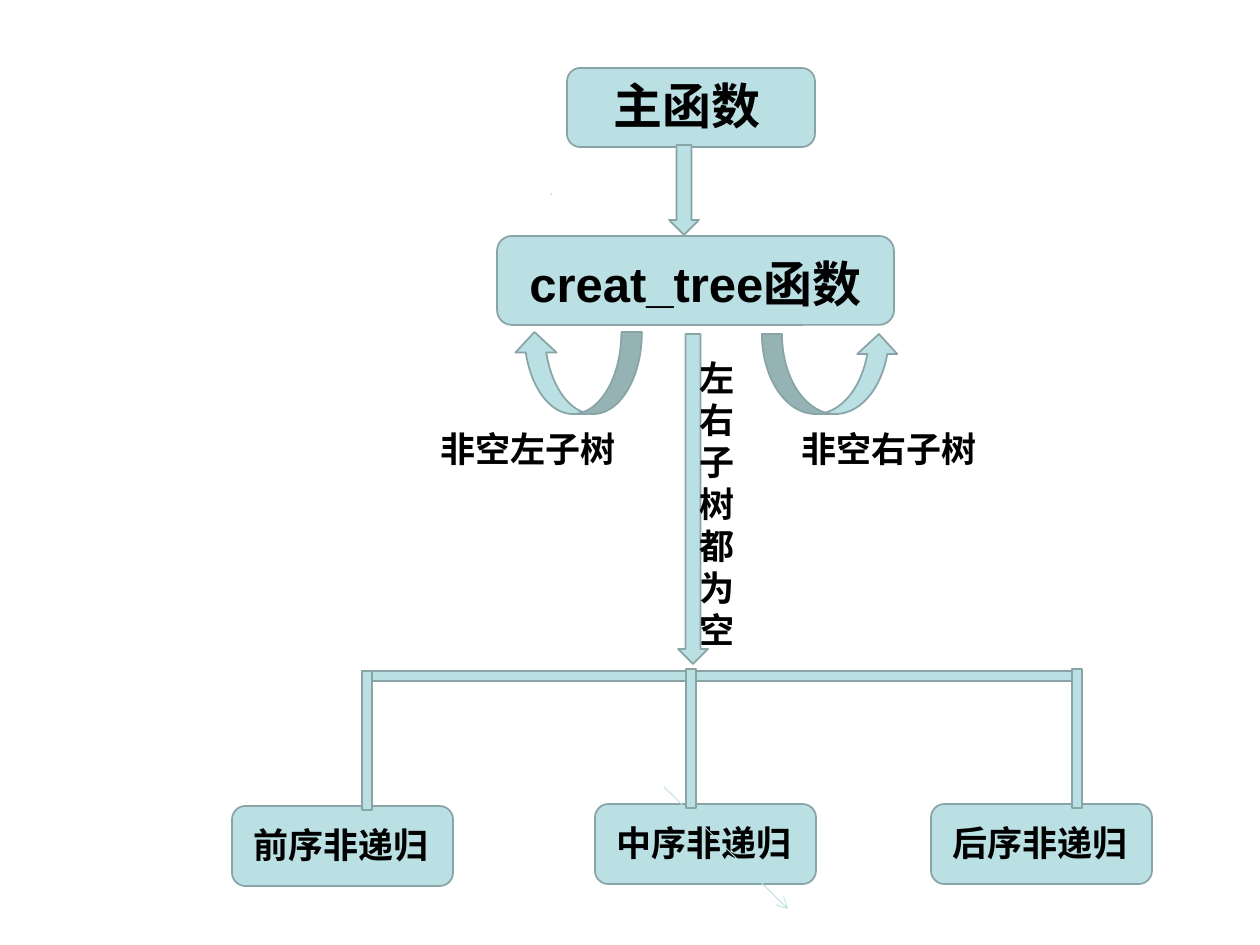
from dataclasses import dataclass

from lxml import etree
from pptx import Presentation
from pptx.dml.color import RGBColor
from pptx.enum.shapes import MSO_CONNECTOR, MSO_SHAPE
from pptx.oxml.ns import qn
from pptx.util import Emu, Pt

ROUND = MSO_SHAPE.ROUNDED_RECTANGLE
RECT = MSO_SHAPE.RECTANGLE
DOWN = MSO_SHAPE.DOWN_ARROW
CURVED = MSO_SHAPE.CURVED_UP_ARROW
STRAIGHT = MSO_CONNECTOR.STRAIGHT
PX = 914400 / 126


@dataclass(frozen=True)
class Theme:
    font: str = "Arial"
    fill: RGBColor = RGBColor(0xBB, 0xE0, 0xE3)
    outline: RGBColor = RGBColor(0x89, 0xA4, 0xA7)
    ink: RGBColor = RGBColor(0, 0, 0)
    title: int = 28
    label: int = 20
    border: float = 1
    hairline: float = 0.5


def px(*values):
    return [Emu(round(v * PX)) for v in values]


class Diagram:
    def __init__(self, slide, theme):
        self.slide = slide
        self.theme = theme

    def shape(self, kind, x, y, w, h, flip=False):
        sp = self.slide.shapes.add_shape(kind, *px(x, y, w, h))
        sp.shadow.inherit = False
        sp.fill.solid()
        sp.fill.fore_color.rgb = self.theme.fill
        sp.line.color.rgb = self.theme.outline
        sp.line.width = Pt(self.theme.border)
        if flip:
            sp._element.spPr.find(qn("a:xfrm")).set("flipH", "1")
        return sp

    def text(self, text, x, y, w, h, size):
        tf = self.slide.shapes.add_textbox(*px(x, y, w, h)).text_frame
        tf.word_wrap = True
        tf.text = text
        font = tf.paragraphs[0].runs[0].font
        font.name = self.theme.font
        font.size = Pt(size)
        font.bold = True
        font.color.rgb = self.theme.ink

    def line(self, x1, y1, x2, y2, arrow=False):
        cx = self.slide.shapes.add_connector(STRAIGHT, *px(x1, y1, x2, y2))
        cx.line.color.rgb = self.theme.fill
        cx.line.width = Pt(self.theme.hairline)
        if arrow:
            etree.SubElement(cx.line._get_or_add_ln(), qn("a:tailEnd"), type="arrow")
        etree.SubElement(cx._element.spPr, qn("a:effectLst"))


prs = Presentation()
prs.slide_width, prs.slide_height = px(1260, 945)
theme = Theme()
s = Diagram(prs.slides.add_slide(prs.slide_layouts[6]), theme)

# Traversal boxes
for name, x, y in (("前序非递归", 232, 806), ("中序非递归", 595, 804), ("后序非递归", 931, 804)):
    s.shape(ROUND, x, y, 221, 80)
    s.text(name, x + 9, y + 11, 222, 55, theme.label)

# Tree building function
s.shape(ROUND, 497, 236, 397, 89)
s.text("creat_tree函数", 517, 247, 372, 72, theme.title)

# Thin lines
s.line(552, 193, 551, 195)
s.line(664, 787, 788, 909, arrow=True)

# Long arrow and the branches below it
s.shape(DOWN, 685 - 7, 334, 30, 330)
s.shape(RECT, 362, 671, 715, 10)
for x, y in ((362, 671), (686, 669), (1072, 669)):
    s.shape(RECT, x, y, 10, 139)
s.text("左右子树都为空", 687, 350, 62, 307, theme.label)

# Recursion loops
s.shape(CURVED, 762, 334, 137, 80)
s.shape(CURVED, 514, 332, 128, 82, flip=True)
for name, x in (("非空右子树", 789), ("非空左子树", 428)):
    s.text(name, x, 421, 203, 55, theme.label)

# Main function
s.shape(ROUND, 567, 68, 248, 79)
s.text("主函数", 601, 69, 193, 72, theme.title)
s.shape(DOWN, 669, 145, 30, 90)

prs.save("out.pptx")
